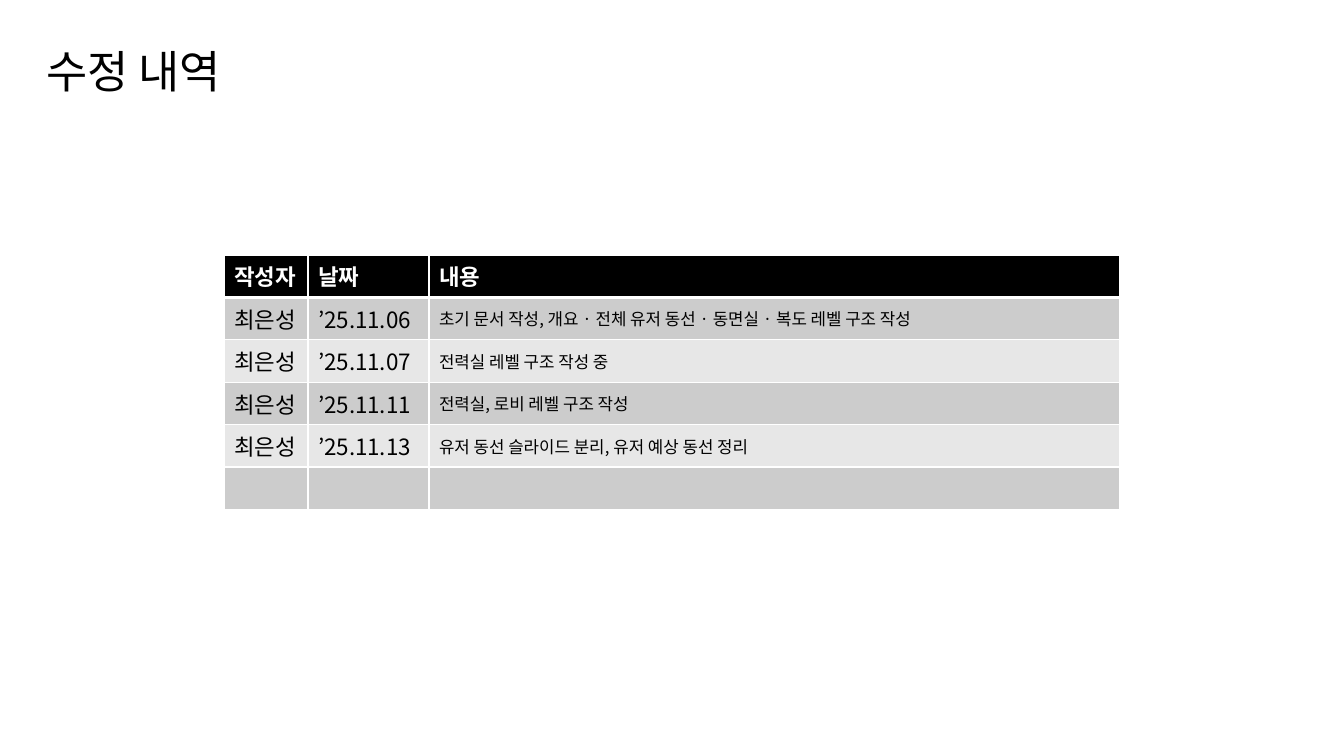
from lxml.etree import SubElement
from pptx import Presentation
from pptx.dml.color import RGBColor
from pptx.enum.text import MSO_ANCHOR, PP_ALIGN
from pptx.oxml.ns import qn
from pptx.util import Pt

EMU_PER_PX = 914400 / 100.8
FONT = "Noto Sans CJK KR"
BLACK, WHITE = "000000", "FFFFFF"
BANDS = ("CCCCCC", "E7E7E7")

AUTHOR = "최은성"
HEADINGS = ("작성자", "날짜", "내용")
REVISIONS = (
    (AUTHOR, "’25.11.06", "초기 문서 작성, 개요 · 전체 유저 동선 · 동면실 · 복도 레벨 구조 작성"),
    (AUTHOR, "’25.11.07", "전력실 레벨 구조 작성 중"),
    (AUTHOR, "’25.11.11", "전력실, 로비 레벨 구조 작성"),
    (AUTHOR, "’25.11.13", "유저 동선 슬라이드 분리, 유저 예상 동선 정리"),
    ("", "", ""),
)


def px(length):
    return round(length * EMU_PER_PX)


def rgb(color):
    return RGBColor.from_string(color)


def write(text_frame, text, size=16, color=BLACK, bold=False, spacing=None):
    paragraph = text_frame.paragraphs[0]
    paragraph.alignment = PP_ALIGN.LEFT
    if spacing:
        paragraph.line_spacing = spacing
    if not text:
        # An empty cell still needs a text size to set its row height
        properties = SubElement(paragraph._p, qn("a:endParaRPr"), sz=str(size * 100))
        for tag in ("a:latin", "a:ea"):
            SubElement(properties, qn(tag), typeface=FONT)
        return
    run = paragraph.add_run()
    run.text = text
    run.font.size = Pt(size)
    run.font.bold = bold
    run.font.color.rgb = rgb(color)
    run.font.name = FONT
    SubElement(run.font._element, qn("a:ea"), typeface=FONT)


class RevisionSlide:
    def __init__(self, presentation):
        self.slide = presentation.slides.add_slide(presentation.slide_layouts[5])

    def title(self, text, left, top, width, height):
        title = self.slide.shapes.title
        title.left, title.top = px(left), px(top)
        title.width, title.height = px(width), px(height)
        title.text_frame.word_wrap = True
        title.text_frame.vertical_anchor = MSO_ANCHOR.MIDDLE
        write(title.text_frame, text, size=32, spacing=0.9)

    def table(self, rows, left, top, column_widths, row_height):
        frame = self.slide.shapes.add_table(
            len(rows), len(column_widths), px(left), px(top),
            px(sum(column_widths)), px(row_height * len(rows)))
        table = frame.table
        for column, width in zip(table.columns, column_widths):
            column.width = px(width)
        for row_index, row in enumerate(rows):
            table.rows[row_index].height = px(row_height)
            for column_index, text in enumerate(row):
                self.cell(table.cell(row_index, column_index), text, row_index, column_index)

    def cell(self, cell, text, row_index, column_index):
        header = row_index == 0
        # Borders come before the fill in the cell properties
        self.borders(cell, top=3 if row_index == 1 else 1, bottom=3 if header else 1)
        cell.fill.solid()
        cell.fill.fore_color.rgb = rgb(BLACK if header else BANDS[(row_index - 1) % 2])
        cell.vertical_anchor = MSO_ANCHOR.TOP if header else MSO_ANCHOR.MIDDLE
        is_note = column_index == 2 and not header and text
        write(cell.text_frame, text, size=12 if is_note else 16,
              color=WHITE if header else BLACK, bold=header)

    def borders(self, cell, top, bottom):
        properties = cell._tc.get_or_add_tcPr()
        for side, width in (("L", 1), ("R", 1), ("T", top), ("B", bottom)):
            line = SubElement(properties, qn(f"a:ln{side}"), w=str(Pt(width)))
            fill = SubElement(line, qn("a:solidFill"))
            SubElement(fill, qn("a:srgbClr"), val=WHITE)


def main():
    presentation = Presentation()
    presentation.slide_width, presentation.slide_height = px(1344), px(756)
    page = RevisionSlide(presentation)

    # Heading
    page.title("수정 내역", 36, 32, 1159, 84)

    # Revision history
    page.table((HEADINGS, *REVISIONS), 224, 255, (84, 121, 691), 41)

    presentation.save("out.pptx")


if __name__ == "__main__":
    main()
